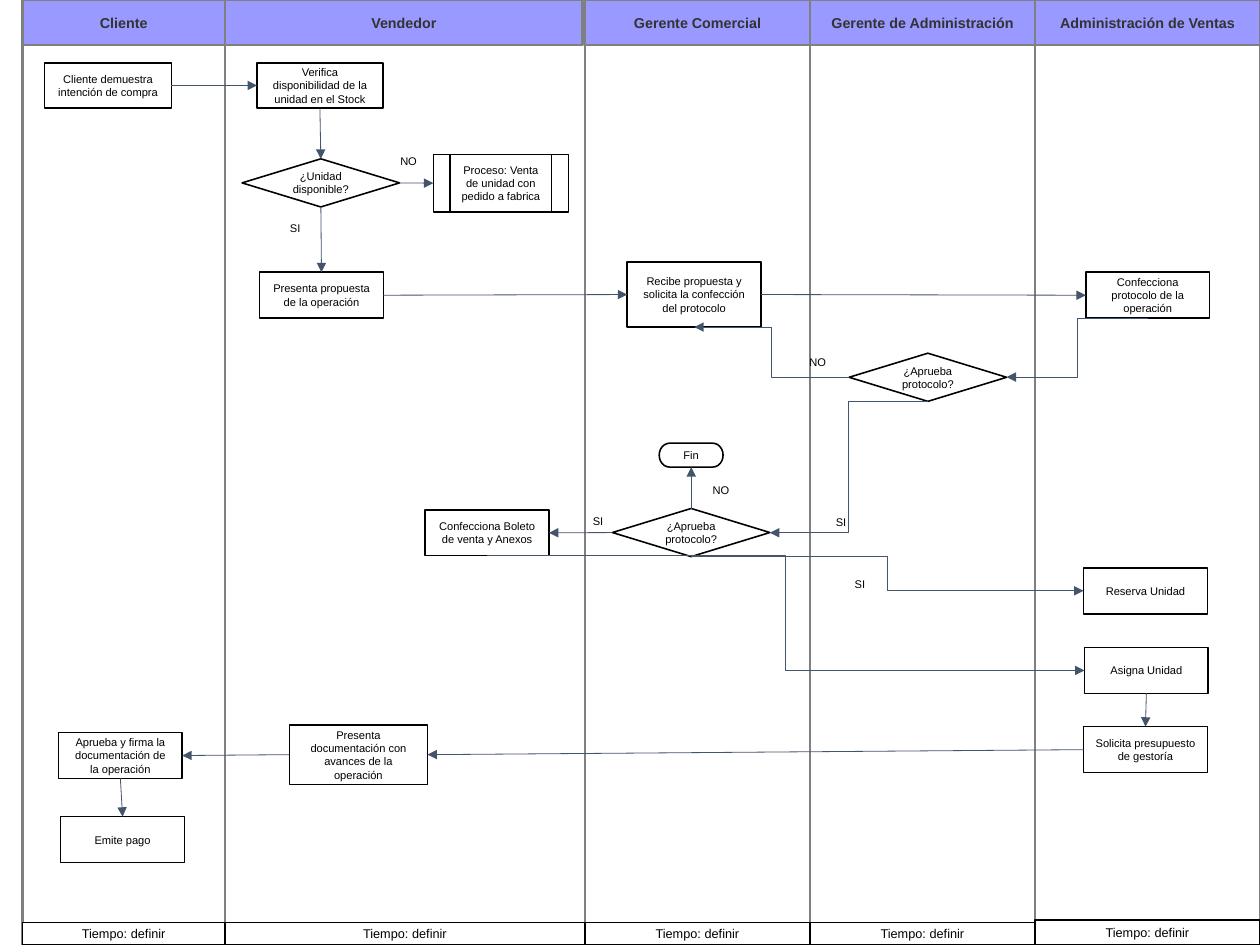
from lxml.etree import SubElement
from pptx import Presentation
from pptx.dml.color import RGBColor
from pptx.enum.shapes import MSO_CONNECTOR, MSO_SHAPE
from pptx.enum.text import MSO_ANCHOR, PP_ALIGN
from pptx.oxml.ns import qn
from pptx.util import Cm, Pt

BLACK = RGBColor(0x00, 0x00, 0x00)
WHITE = RGBColor(0xFF, 0xFF, 0xFF)
GRAY = RGBColor(0x80, 0x80, 0x80)
DARK_GRAY = RGBColor(0x33, 0x33, 0x33)
LILAC = RGBColor(0x99, 0x99, 0xFF)
SLATE = RGBColor(0x44, 0x54, 0x6A)

STEP_FONT = {"name": "Arial", "size": Pt(7), "bold": False}
TIME_FONT = {"name": "Arial", "size": Pt(8), "bold": False}
HEADER_FONT = {"name": "Arial", "size": Pt(9), "bold": True}

TOP, LEFT, BOTTOM, RIGHT = range(4)
SIDE_MARGINS = {MSO_SHAPE.FLOWCHART_DECISION: 0, MSO_SHAPE.FLOWCHART_PREDEFINED_PROCESS: 0.2}

presentation = Presentation()
presentation.slide_width = Cm(28)
presentation.slide_height = Cm(21)
slide = presentation.slides.add_slide(presentation.slide_layouts[6])


def write_text(shape, text, font_format, color, side_margin=0.25):
    """Put centred, wrapped text in a shape or text box."""
    frame = shape.text_frame
    frame.word_wrap = True
    frame.margin_left = frame.margin_right = Cm(side_margin)
    paragraph = frame.paragraphs[0]
    paragraph.text = text
    paragraph.alignment = PP_ALIGN.CENTER
    paragraph.font.color.rgb = color
    for attribute, value in font_format.items():
        setattr(paragraph.font, attribute, value)


def add_box(kind, left, top, width, height, fill=WHITE, line=BLACK, weight=1):
    shape = slide.shapes.add_shape(kind, Cm(left), Cm(top), Cm(width), Cm(height))
    shape.shadow.inherit = False
    if fill is None:
        shape.fill.background()
    else:
        shape.fill.solid()
        shape.fill.fore_color.rgb = fill
    shape.line.color.rgb = line
    shape.line.width = Pt(weight)
    shape.text_frame.vertical_anchor = MSO_ANCHOR.MIDDLE
    return shape


# Lanes: name, left, width, header width, top of the time box
lanes = [
    ("Cliente", 0.5, 4.5, 4.5, 20.5),
    ("Vendedor", 5, 8, 7.95, 20.5),
    ("Gerente Comercial", 13, 5, 5, 20.5),
    ("Gerente de Administración", 18, 5, 5, 20.5),
    ("Administración de Ventas", 23, 5, 5, 20.45),
]
for name, left, width, header_width, time_top in lanes:
    add_box(MSO_SHAPE.RECTANGLE, left, 0, width, 21, None, GRAY, 1.7)
for name, left, width, header_width, time_top in lanes:
    header = add_box(MSO_SHAPE.RECTANGLE, left, 0, header_width, 1, LILAC, GRAY, 1.7)
    write_text(header, name, HEADER_FONT, DARK_GRAY)
    time_box = add_box(MSO_SHAPE.RECTANGLE, left, time_top, width, 21 - time_top)
    write_text(time_box, "Tiempo: definir", TIME_FONT, BLACK)

# Steps: text, kind, left, top, width, height
PROCESS = MSO_SHAPE.FLOWCHART_PROCESS
DECISION = MSO_SHAPE.FLOWCHART_DECISION
SUBPROCESS = MSO_SHAPE.FLOWCHART_PREDEFINED_PROCESS
TERMINATOR = MSO_SHAPE.FLOWCHART_TERMINATOR
USUAL = (2.75, 1.02)
RHOMBUS = (3.5, 1.07)
steps = {
    "intención": ("Cliente demuestra intención de compra", PROCESS, 0.99, 1.4, 2.82, 1),
    "stock": ("Verifica disponibilidad de la unidad en el Stock", PROCESS, 5.71, 1.4, 2.8, 1),
    "disponible": ("¿Unidad disponible?", DECISION, 5.38, 3.53, *RHOMBUS),
    "fábrica": ("Proceso: Venta de unidad con pedido a fabrica", SUBPROCESS, 9.63, 3.43, 3, 1.28),
    "propuesta": ("Presenta propuesta de la operación", PROCESS, 5.77, 6.05, *USUAL),
    "recibe": ("Recibe propuesta y solicita la confección del protocolo",
               PROCESS, 13.94, 5.82, 2.97, 1.45),
    "protocolo": ("Confecciona protocolo de la operación", PROCESS, 24.13, 6.05, *USUAL),
    "administración": ("¿Aprueba protocolo?", DECISION, 18.87, 7.85, *RHOMBUS),
    "comercial": ("¿Aprueba protocolo?", DECISION, 13.61, 11.3, *RHOMBUS),
    "fin": ("Fin", TERMINATOR, 14.65, 9.85, 1.42, 0.53),
    "boleto": ("Confecciona Boleto de venta y Anexos", PROCESS, 9.45, 11.33, *USUAL),
    "reserva": ("Reserva Unidad", PROCESS, 24.08, 12.62, *USUAL),
    "asigna": ("Asigna Unidad", PROCESS, 24.1, 14.39, *USUAL),
    "gestoría": ("Solicita presupuesto de gestoría", PROCESS, 24.08, 16.15, *USUAL),
    "documentación": ("Presenta documentación con avances de la operación",
                      PROCESS, 6.43, 16.11, 3.07, 1.32),
    "firma": ("Aprueba y firma la documentación de la operación", PROCESS, 1.3, 16.28, *USUAL),
    "pago": ("Emite pago", PROCESS, 1.35, 18.15, *USUAL),
}
shapes = {}
for key, (text, kind, *place) in steps.items():
    shapes[key] = add_box(kind, *place)
    write_text(shapes[key], text, STEP_FONT, BLACK, SIDE_MARGINS.get(kind, 0.25))

arrows = []
for start, start_side, end, end_side in [
    ("intención", RIGHT, "stock", LEFT),
    ("stock", BOTTOM, "disponible", TOP),
    ("disponible", RIGHT, "fábrica", LEFT),
    ("disponible", BOTTOM, "propuesta", TOP),
    ("propuesta", RIGHT, "recibe", LEFT),
    ("recibe", RIGHT, "protocolo", LEFT),
    ("comercial", LEFT, "boleto", RIGHT),
    ("comercial", TOP, "fin", BOTTOM),
    ("asigna", BOTTOM, "gestoría", TOP),
    ("gestoría", LEFT, "documentación", RIGHT),
    ("documentación", LEFT, "firma", RIGHT),
    ("firma", BOTTOM, "pago", TOP),
]:
    arrow = slide.shapes.add_connector(MSO_CONNECTOR.STRAIGHT, 0, 0, 0, 0)
    arrow.begin_connect(shapes[start], start_side)
    arrow.end_connect(shapes[end], end_side)
    arrows.append(arrow)

# Elbows leave sideways and turn halfway, so they are placed by their ends
for ends in [
    (25.51, 7.07, 22.37, 8.38),
    (18.87, 8.38, 15.43, 7.27),
    (20.62, 8.92, 17.11, 11.84),
    (15.36, 12.37, 24.08, 13.13),
    (10.82, 12.35, 24.1, 14.9),
]:
    arrows.append(slide.shapes.add_connector(MSO_CONNECTOR.ELBOW, *map(Cm, ends)))

for arrow in arrows:
    arrow.line.color.rgb = SLATE
    arrow.line.width = Pt(0.5)
    properties = arrow.element.spPr
    SubElement(properties.find(qn("a:ln")), qn("a:tailEnd"), type="triangle")
    SubElement(properties, qn("a:effectLst"))

# Branch labels: text, centre, top
LABEL_WIDTH = 1.1
for text, center, top in [
    ("NO", 9.08, 3.3),
    ("SI", 6.56, 4.8),
    ("NO", 18.17, 7.77),
    ("NO", 16.02, 10.62),
    ("SI", 13.29, 11.3),
    ("SI", 18.69, 11.33),
    ("SI", 19.11, 12.7),
]:
    label = slide.shapes.add_textbox(
        Cm(center - LABEL_WIDTH / 2), Cm(top), Cm(LABEL_WIDTH), Cm(0.53))
    write_text(label, text, STEP_FONT, BLACK)

presentation.save("out.pptx")
